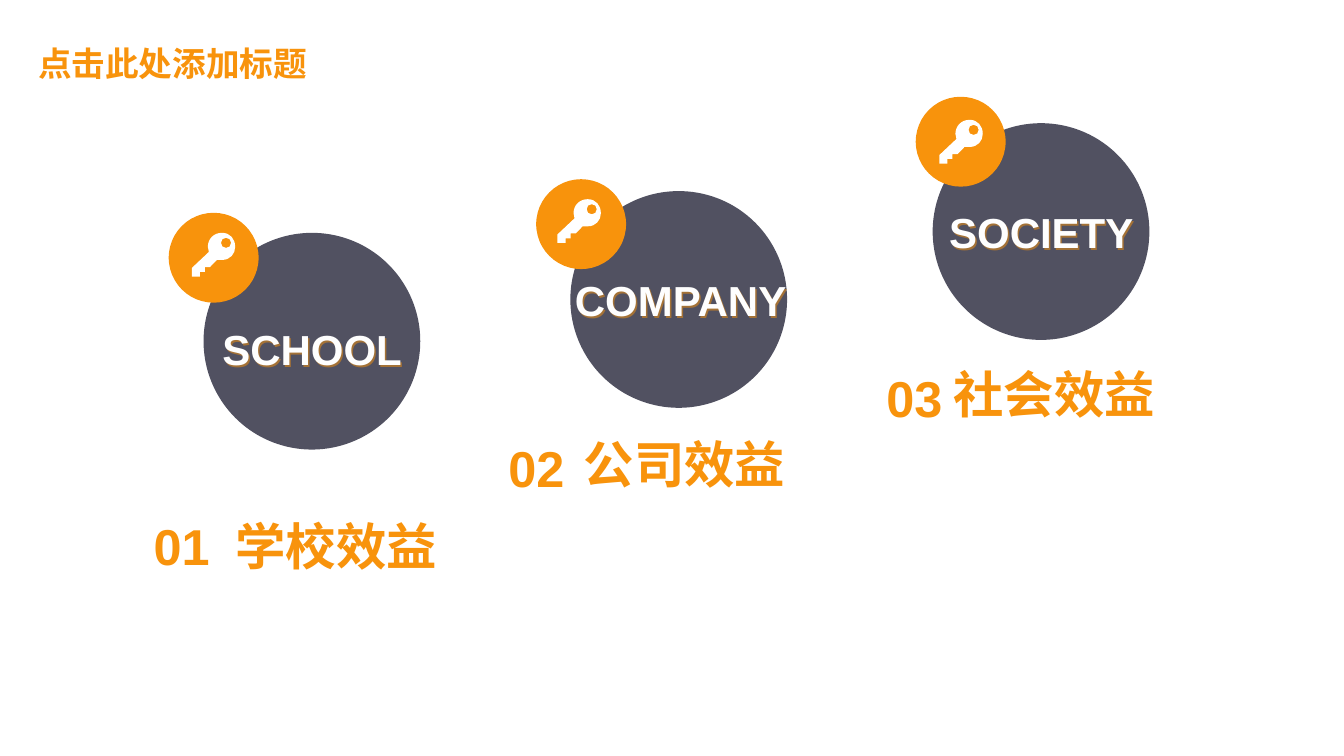
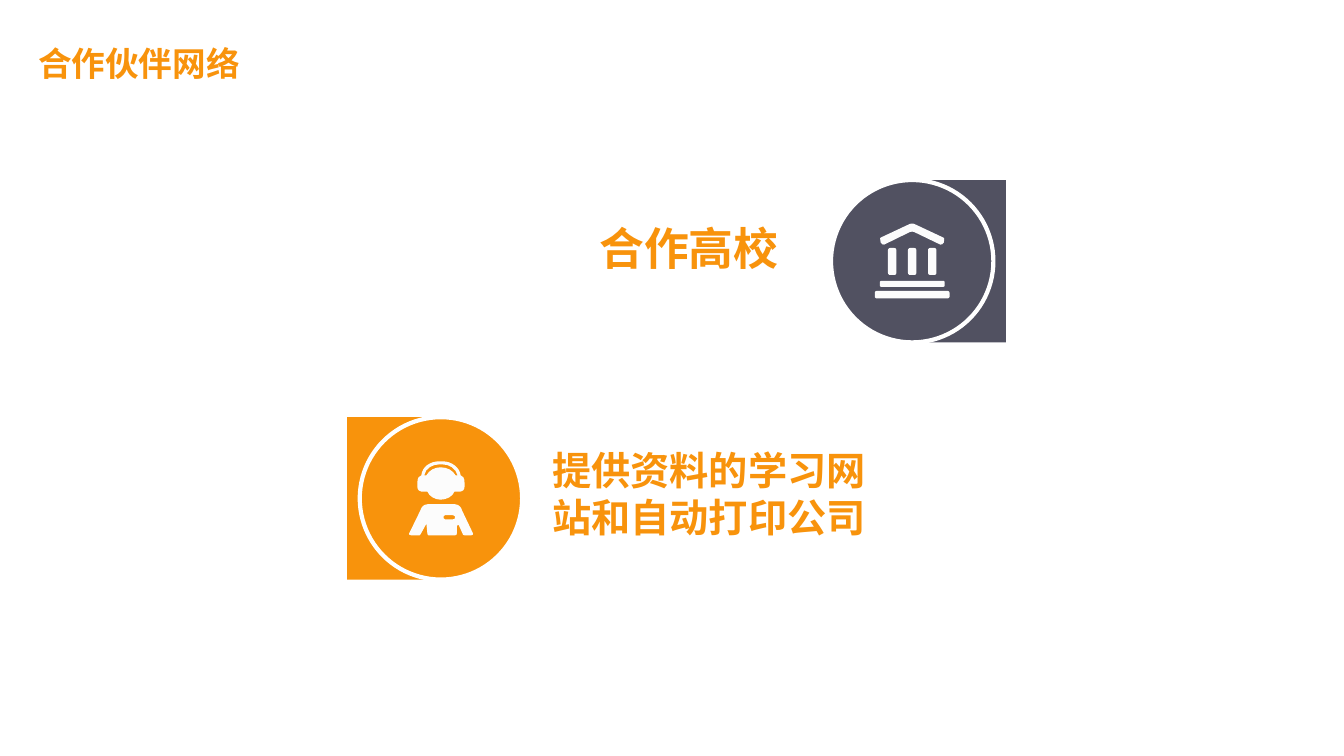
import pptx
import pptx.dml.color
import pptx.enum.shapes
import pptx.enum.text
import pptx.util
from lxml import etree

Pt = pptx.util.Pt
RGBColor = pptx.dml.color.RGBColor
SHAPE = pptx.enum.shapes.MSO_SHAPE
ALIGN = pptx.enum.text.PP_ALIGN
ANCHOR = pptx.enum.text.MSO_ANCHOR

DRAWING = "{http://schemas.openxmlformats.org/drawingml/2006/main}"
ORANGE = RGBColor(0xF8, 0x93, 0x0C)
SLATE = RGBColor(0x51, 0x51, 0x61)
WHITE = RGBColor(0xFF, 0xFF, 0xFF)
OFF_WHITE = RGBColor(0xFC, 0xFC, 0xFC)
WORD_WHITE = RGBColor(0xFE, 0xFE, 0xFE)
FONT = "Arial"
TIGHT = (3.6, 1.44)
NO_INSET = (0, 0)

BENEFITS_TITLE = "点击此处添加标题"
# Each place is the left and top of a part, in points.
BENEFITS = [
    {"number": "01", "word": "SCHOOL", "caption": "学校效益",
     "circle": (145.4, 166.3), "badge": (120.5, 152), "key": (137, 166.3),
     "word_at": (135, 231.6), "number_at": (90.7, 358.6), "caption_at": (168, 349.9)},
    {"number": "02", "word": "COMPANY", "caption": "公司效益",
     "circle": (407.4, 136.5), "badge": (383, 128), "key": (398.2, 142.3),
     "word_at": (398.2, 196.6), "number_at": (344.2, 303.1), "caption_at": (416.9, 290.9)},
    {"number": "03", "word": "SOCIETY", "caption": "社会效益",
     "circle": (666.2, 88), "badge": (654.1, 69.1), "key": (671, 85.6),
     "word_at": (655.8, 148.2), "number_at": (614.2, 252.7), "caption_at": (681.1, 241.2)},
]
CIRCLE, BADGE = 154.8, 64.2
WORD_SIZE, NUMBER_SIZE, CAPTION_SIZE = (176, 35), (78, 62), (157, 62)

PARTNERS_TITLE = "合作伙伴网络"
PARTNERS = [
    {"text": "合作高校", "size": 32, "align": ALIGN.RIGHT, "colour": SLATE,
     "box": (404.2, 139, 152, 56.9), "corner": (654.5, 128.6), "disc": (593.6, 128.6)},
    {"text": "提供资料的学习网站和自动打印公司", "size": 28, "align": ALIGN.LEFT,
     "colour": ORANGE, "box": (394.6, 305.6, 230.4, 80.6),
     "corner": (248, 298), "disc": (257, 298)},
]
DISC = 116

# A contour is a start point, then lines (x, y) and Bézier curves (x1, y1, x2, y2, x, y).
KEY = [
    [(21.6, 0), (15.8, 0, 11.5, 4.3, 11.5, 10.1), (11.5, 10.8, 12.2, 12.2, 12.2, 13.7),
     (0, 25.2), (0, 31.3), (5.8, 31.3), (5.8, 28), (9.4, 28), (9.4, 24.5), (13, 24.5),
     (18, 19.4), (19.4, 19.4, 20.2, 19.4, 21.6, 19.4),
     (27.4, 19.4, 31, 15.1, 31, 10.1), (31, 4.3, 27.4, 0, 21.6, 0)],
    [(24.5, 10.8), (22.3, 10.8, 20.9, 9.4, 20.9, 7.2), (20.9, 5, 22.3, 3.6, 24.5, 3.6),
     (26.6, 3.6, 28.1, 5, 28.1, 7.2), (28.1, 9.4, 26.6, 10.8, 24.5, 10.8)],
]
ROOF = [
    [(45.7, 13.7), (45, 15.1, 44.3, 15.1, 43.2, 15.1), (24.5, 6.1),
     (23.8, 5.8, 22.3, 5.8, 21.6, 6.1), (3.2, 15.1), (2.2, 15.1, 1.4, 15.1, .7, 13.7),
     (.4, 12.2), (0, 10.8, .4, 10.1, .7, 10.1), (21.6, .3),
     (22.3, 0, 23.8, 0, 24.5, .3), (45.4, 10.1), (45.7, 10.1, 46.4, 10.8, 46, 12.2)],
]
HEAD = [
    [(31, 10), (30.2, 4.3, 24.5, 0, 18, 0), (15.8, 0), (9.4, 0, 3.6, 3.6, 2.9, 10),
     (1.4, 10.4, 0, 11.5, 0, 15.8), (0, 18), (0, 20.9, 2.2, 21.6, 2.9, 21.6), (7.2, 21.6),
     (8.6, 25.2, 13, 27.4, 16.6, 27.4), (20.9, 27.4, 25.2, 25.2, 26.6, 21.6),
     (31, 21.6), (31.7, 21.6, 33.8, 20.9, 33.8, 18), (33.8, 15.8),
     (33.8, 11.5, 32.4, 10.4, 31, 10)],
    [(5, 10), (5.8, 5, 10.8, 2.2, 15.8, 2.2), (18, 2.2), (23, 2.2, 27.4, 5, 28.8, 10),
     (27.4, 10), (25.2, 6.5, 21.6, 4.3, 16.6, 4.3), (12.2, 4.3, 8.6, 6.5, 6.5, 10)],
]
BODY = [
    [(33.1, 10.1), (33.1, 10.8, 32.4, 10.8, 31.7, 10.8), (26, 10.8),
     (26, 10.8, 25.2, 10.8, 25.2, 10.1), (25.2, 8.6), (25.2, 8.6, 26, 7.9, 26, 7.9),
     (31.7, 7.9), (32.4, 7.9, 33.1, 8.6, 33.1, 8.6)],
    [(46.1, 20.9), (38.2, 4.3), (38.2, 3.6, 36.7, 0, 33.1, 0), (13.7, 0),
     (10.1, 0, 8.6, 3.6, 8.6, 4.3), (.5, 20.9), (0, 21.6, .7, 22.3, 2.2, 22.3),
     (7.9, 22.3), (8.6, 22.3, 8.6, 21.6, 8.6, 21.6), (12.2, 15.1),
     (12.2, 15.1, 13, 13, 13, 15.8), (13.5, 20.9), (13.7, 21.6, 13.7, 22.3, 14.4, 22.3),
     (33.1, 22.3), (34.6, 22.3, 34.6, 21.6, 34.6, 20.2), (34.6, 15.8),
     (34.6, 13.7, 36, 15.1, 36, 15.1), (38.9, 21.6),
     (38.9, 21.6, 38.9, 22.3, 40.3, 22.3), (44.6, 22.3),
     (46.1, 22.3, 46.1, 21.6, 46.1, 20.9)],
]


def paint(shape, fill, line=None):
    shape.shadow.inherit = False
    shape.fill.solid()
    shape.fill.fore_color.rgb = fill
    if line is None:
        shape.line.fill.background()
    else:
        shape.line.color.rgb = line
        shape.line.width = Pt(3)


def add_preset(slide, kind, left, top, width, height, fill, line=None):
    shape = slide.shapes.add_shape(kind, Pt(left), Pt(top), Pt(width), Pt(height))
    paint(shape, fill, line)
    return shape


def add_bar(slide, left, top, width, height):
    bar = add_preset(slide, SHAPE.ROUNDED_RECTANGLE, left, top, width, height, OFF_WHITE)
    bar.adjustments[0] = 0.25


def bend_curves(shape, contours):
    """Turn each run of three segments that stands for a curve into a real one."""
    segments = iter(list(shape._element.iter(DRAWING + "lnTo")))
    for contour in contours:
        for part in contour[1:]:
            segment = next(segments)
            if len(part) == 2:
                continue
            curve = etree.Element(DRAWING + "cubicBezTo")
            segment.addprevious(curve)
            for piece in (segment, next(segments), next(segments)):
                curve.append(piece[0])
                piece.getparent().remove(piece)


def add_outline(slide, contours, left, top, fill):
    builder = None
    for contour in contours:
        points = [(Pt(left + part[i]), Pt(top + part[i + 1]))
                  for part in contour for i in range(0, len(part), 2)]
        if builder is None:
            builder = slide.shapes.build_freeform(*points[0], scale=1.0)
        else:
            builder.move_to(*points[0])
        builder.add_line_segments(points[1:], close=True)
    shape = builder.convert_to_shape()
    bend_curves(shape, contours)
    paint(shape, fill)


def add_text(slide, text, left, top, width, height, size, colour=ORANGE, insets=NO_INSET,
             anchor=ANCHOR.MIDDLE, align=ALIGN.LEFT, spacing=1.0):
    box = slide.shapes.add_textbox(Pt(left), Pt(top), Pt(width), Pt(height))
    frame = box.text_frame
    frame.word_wrap = True
    frame.vertical_anchor = anchor
    frame.margin_left = frame.margin_right = Pt(insets[0])
    frame.margin_top = frame.margin_bottom = Pt(insets[1])
    para = frame.paragraphs[0]
    para.alignment = align
    para.line_spacing = spacing
    span = para.add_run()
    span.text = text
    span.font.name = FONT
    span.font.size = Pt(size)
    span.font.bold = True
    span.font.color.rgb = colour
    return box


def outline_text(box, colour, width):
    line = etree.Element(DRAWING + "ln", w=str(Pt(width)))
    fill = etree.SubElement(line, DRAWING + "solidFill")
    etree.SubElement(fill, DRAWING + "srgbClr", val=str(colour))
    box.text_frame.paragraphs[0].runs[0].font._element.insert(0, line)


def shade_text(box, colour, distance):
    """Give an unfilled box a half-clear shadow, which falls behind its letters."""
    effects = etree.SubElement(box._element.spPr, DRAWING + "effectLst")
    shadow = etree.SubElement(effects, DRAWING + "outerShdw", dist=str(Pt(distance)),
                              dir="2700000", algn="tl", rotWithShape="0")
    tint = etree.SubElement(shadow, DRAWING + "srgbClr", val=str(colour))
    etree.SubElement(tint, DRAWING + "alpha", val="50000")


def add_titled_slide(deck, title):
    slide = deck.slides.add_slide(deck.slide_layouts[6])
    add_text(slide, title, 20.2, 20.2, 280, 49, 24, insets=(7.2, 3.6))
    return slide


def add_benefit(slide, benefit):
    add_preset(slide, SHAPE.OVAL, *benefit["circle"], CIRCLE, CIRCLE, SLATE)
    add_preset(slide, SHAPE.OVAL, *benefit["badge"], BADGE, BADGE, ORANGE)
    add_outline(slide, KEY, *benefit["key"], WHITE)
    word = add_text(slide, benefit["word"], *benefit["word_at"], *WORD_SIZE, 30,
                    WORD_WHITE, TIGHT, align=ALIGN.CENTER)
    outline_text(word, ORANGE, 0.75)
    shade_text(word, ORANGE, 1.5)
    add_text(slide, benefit["number"], *benefit["number_at"], *NUMBER_SIZE, 36,
             insets=TIGHT, align=ALIGN.CENTER)
    add_text(slide, benefit["caption"], *benefit["caption_at"], *CAPTION_SIZE, 36,
             anchor=ANCHOR.BOTTOM, spacing=0.9)


def add_partner(slide, partner):
    colour = partner["colour"]
    add_preset(slide, SHAPE.RECTANGLE, *partner["corner"], 64, DISC, colour)
    add_preset(slide, SHAPE.OVAL, *partner["disc"], DISC, DISC, colour, WHITE)
    add_text(slide, partner["text"], *partner["box"], partner["size"],
             anchor=ANCHOR.BOTTOM, align=partner["align"])


def add_college_icon(slide, disc_left, disc_top):
    center = disc_left + DISC / 2
    add_outline(slide, ROOF, center - 23.2, disc_top + 31, OFF_WHITE)
    for offset in (-14.3, 0, 14.3):
        add_bar(slide, center + offset - 3, disc_top + 48.5, 6, 19.3)
    add_bar(slide, center - 23.2, disc_top + 72, 46.4, 4.3)
    add_bar(slide, center - 26.7, disc_top + 79.2, 53.4, 5.3)


def add_operator_icon(slide, disc_left, disc_top):
    center = disc_left + DISC / 2
    add_outline(slide, HEAD, center - 16.9, disc_top + 31.5, OFF_WHITE)
    add_outline(slide, BODY, center - 23.2, disc_top + 62.1, OFF_WHITE)


def main():
    deck = pptx.Presentation()
    deck.slide_width, deck.slide_height = Pt(960), Pt(540)

    benefits_slide = add_titled_slide(deck, BENEFITS_TITLE)
    for benefit in BENEFITS:
        add_benefit(benefits_slide, benefit)

    partners_slide = add_titled_slide(deck, PARTNERS_TITLE)
    for partner, add_icon in zip(PARTNERS, (add_college_icon, add_operator_icon)):
        add_partner(partners_slide, partner)
        add_icon(partners_slide, *partner["disc"])

    deck.save("out.pptx")


if __name__ == "__main__":
    main()
